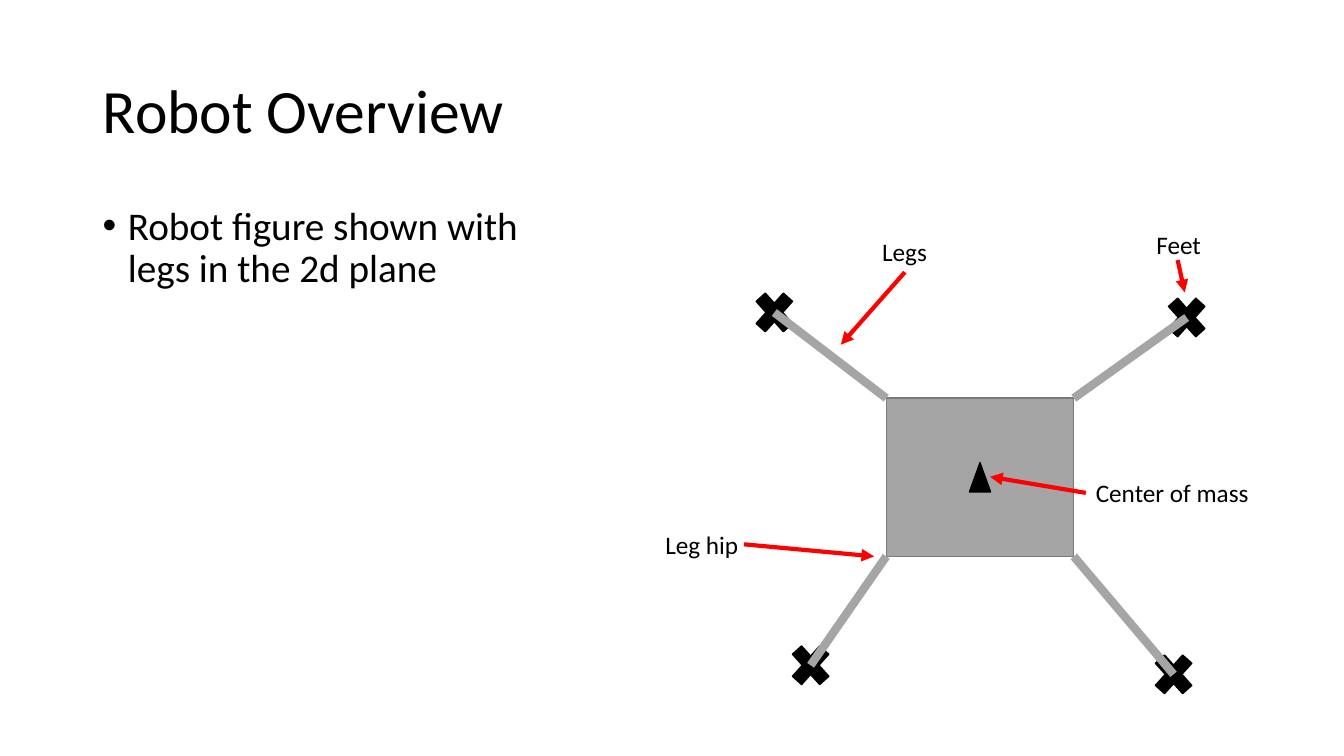
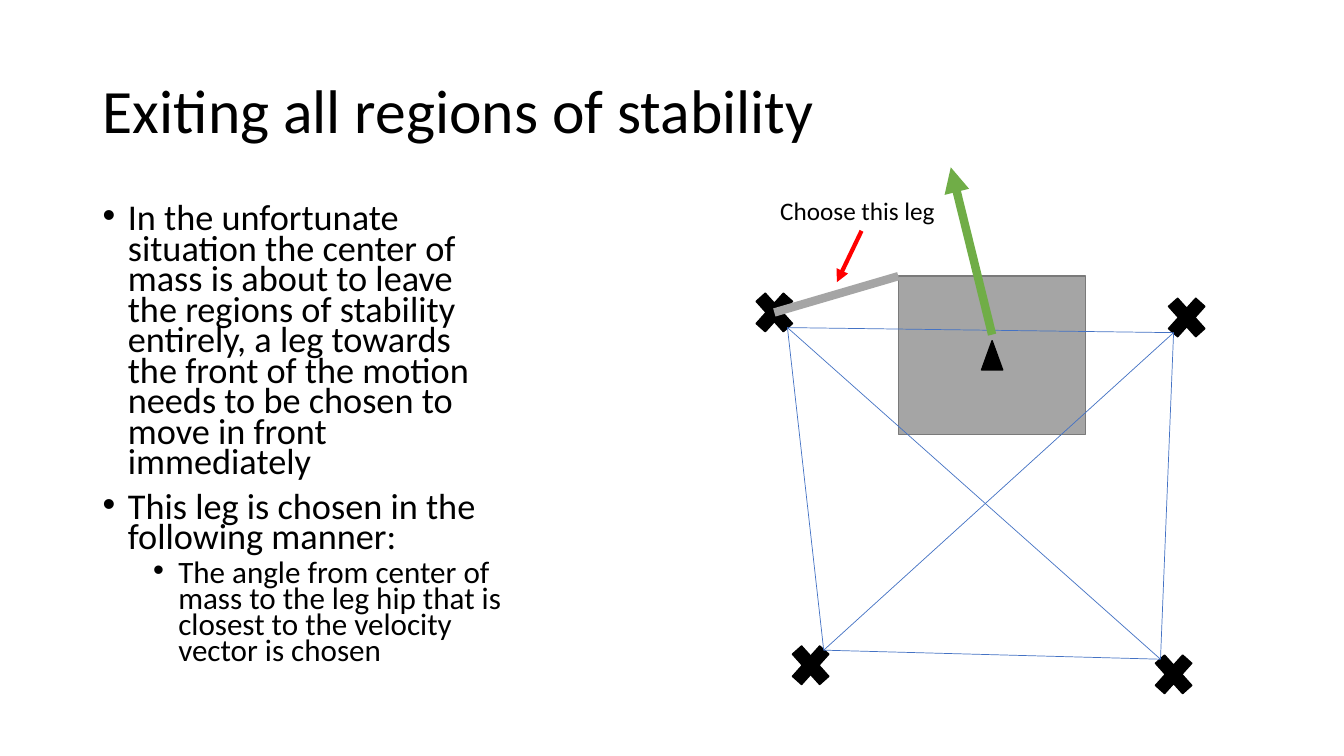
from dataclasses import dataclass
from itertools import combinations

from lxml.etree import SubElement
from pptx import Presentation
from pptx.dml.color import RGBColor
from pptx.enum.shapes import MSO_CONNECTOR, MSO_SHAPE
from pptx.enum.text import MSO_ANCHOR, MSO_AUTO_SIZE, PP_ALIGN
from pptx.oxml.ns import qn
from pptx.util import Pt

PX = 9144  # EMU per px, 100 px to the inch


@dataclass(frozen=True)
class Theme:
    font: str = "Calibri"
    ink: str = "000000"
    body: str = "A5A5A5"
    body_edge: str = "7A7A7A"
    pointer: str = "FF0000"
    velocity: str = "70AD47"
    stability: str = "4472C4"
    title_size: float = 44
    label_size: float = 18
    leg_width: float = 6
    pointer_width: float = 3
    stability_width: float = 0.5
    edge_width: float = 1


THEME = Theme()

# Shared geometry
SLIDE_SIZE = (1333, 750)
TITLE_BOX = (92, 40, 1150, 145)
BODY_SIZE = (186, 157)
MASS_SIZE = (21, 29)
FOOT_SIZE = (52, 58)
LABEL_HEIGHT = 40
BULLET_HANG = 25
LEVEL_INDENTS = (25, 75)
LEVEL_SPACE_BEFORE = (10, 5)

# Foot centres, and the hip of each leg as (right, bottom) corner of the body
FEET = {
    (0, 0): (768, 310),
    (1, 0): (1177, 315),
    (0, 1): (804, 660),
    (1, 1): (1164, 669),
}
FOOT_INSET = (13, 15)  # from a foot's centre to its inner notch

# Connection sites of a rectangle
LEFT, BOTTOM = 1, 2

# Bullets: (level, text); labels: (text, left, top, width, joined side, start, end)
SLIDES = [
    {
        "title": "Robot Overview",
        "bullets_box": (92, 200, 477, 476),
        "line_spacing": 0.9,
        "bullet_sizes": (28, 24),
        "bullets": [(0, "Robot figure shown with legs in the 2d plane")],
        "body": (879, 395),
        "legs": list(FEET),
        "stability": False,
        "velocity": None,
        "labels": [
            ("Legs", 865, 230, 65, BOTTOM, (897, 270), (834, 342)),
            ("Feet", 1137, 223, 65, None, (1168, 258), (1175, 290)),
            ("Center of mass", 1077, 469, 173, LEFT, (1077, 489), (982, 473)),
            ("Leg hip", 650, 520, 94, None, (738, 540), (867, 552)),
        ],
    },
    {
        "title": "Exiting all regions of stability",
        "bullets_box": (92, 200, 417, 476),
        "line_spacing": 0.7,
        "bullet_sizes": (25.9, 22.2),
        "bullets": [
            (0, "In the unfortunate situation the center of mass is about to leave "
                "the regions of stability entirely, a leg towards the front of the "
                "motion needs to be chosen to move in front immediately"),
            (0, "This leg is chosen in the following manner:"),
            (1, "The angle from center of mass to the leg hip that is closest to "
                "the velocity vector is chosen"),
        ],
        "body": (891, 274),
        "legs": [(0, 0)],
        "stability": True,
        "velocity": ((984, 332), (943, 166)),
        "labels": [
            ("Choose this leg", 764, 189, 181, BOTTOM, (854, 229), (830, 280)),
        ],
    },
]


def emu(*lengths):
    return [round(length * PX) for length in lengths]


def color(value):
    return RGBColor.from_string(value)


def add_span(para, text, size):
    span = para.add_run()
    span.text = text
    span.font.name = THEME.font
    span.font.size = Pt(size)
    span.font.color.rgb = color(THEME.ink)


def add_figure(page, kind, left, top, size, fill, edge):
    shape = page.shapes.add_shape(kind, *emu(left, top, *size))
    shape.shadow.inherit = False
    shape.fill.solid()
    shape.fill.fore_color.rgb = color(fill)
    shape.line.color.rgb = color(edge)
    shape.line.width = Pt(THEME.edge_width)


def add_line(page, start, end, line_color, width, arrow=False):
    line = page.shapes.add_connector(MSO_CONNECTOR.STRAIGHT, *emu(*start, *end))
    line.line.color.rgb = color(line_color)
    line.line.width = Pt(width)
    if arrow:
        SubElement(line.line._get_or_add_ln(), qn("a:tailEnd"), type="triangle")
    SubElement(line._element.spPr, qn("a:effectLst"))
    return line


def add_title(page, text):
    title = page.shapes.title
    title.left, title.top, title.width, title.height = emu(*TITLE_BOX)
    frame = title.text_frame
    frame.auto_size = MSO_AUTO_SIZE.NONE
    frame.vertical_anchor = MSO_ANCHOR.MIDDLE
    para = frame.paragraphs[0]
    para.alignment = PP_ALIGN.LEFT
    para.line_spacing = 0.9
    add_span(para, text, THEME.title_size)


def add_bullets(page, content):
    box = page.shapes.add_textbox(*emu(*content["bullets_box"]))
    frame = box.text_frame
    frame.word_wrap = True
    for index, (level, text) in enumerate(content["bullets"]):
        para = frame.add_paragraph() if index else frame.paragraphs[0]
        para.level = level
        para.line_spacing = content["line_spacing"]
        para.space_before = Pt(LEVEL_SPACE_BEFORE[level])
        props = para._p.get_or_add_pPr()
        props.set("marL", str(LEVEL_INDENTS[level] * PX))
        props.set("indent", str(-BULLET_HANG * PX))
        SubElement(props, qn("a:buFont"), typeface="Arial")
        SubElement(props, qn("a:buChar"), char="•")
        add_span(para, text, content["bullet_sizes"][level])


def add_label(page, text, left, top, width, side, start, end):
    box = page.shapes.add_textbox(*emu(left, top, width, LABEL_HEIGHT))
    box.text_frame.word_wrap = False
    box.text_frame.auto_size = MSO_AUTO_SIZE.SHAPE_TO_FIT_TEXT
    add_span(box.text_frame.paragraphs[0], text, THEME.label_size)
    pointer = add_line(page, start, end, THEME.pointer, THEME.pointer_width, arrow=True)
    if side is not None:
        pointer.begin_connect(box, side)


def add_robot(page, content):
    left, top = content["body"]
    width, height = BODY_SIZE
    add_figure(page, MSO_SHAPE.RECTANGLE, left, top, BODY_SIZE, THEME.body, THEME.body_edge)

    # Feet, and the center of mass in the middle of the body
    for x, y in FEET.values():
        add_figure(page, MSO_SHAPE.MATH_MULTIPLY, x - FOOT_SIZE[0] / 2,
                   y - FOOT_SIZE[1] / 2, FOOT_SIZE, THEME.ink, THEME.ink)
    add_figure(page, MSO_SHAPE.ISOSCELES_TRIANGLE, left + (width - MASS_SIZE[0]) / 2,
               top + (height - MASS_SIZE[1]) / 2, MASS_SIZE, THEME.ink, THEME.ink)

    # Regions of stability: every pair of feet joined at their inner notches
    if content["stability"]:
        notches = [(x + FOOT_INSET[0] * (1 - 2 * right), y + FOOT_INSET[1] * (1 - 2 * bottom))
                   for (right, bottom), (x, y) in FEET.items()]
        for start, end in combinations(notches, 2):
            add_line(page, start, end, THEME.stability, THEME.stability_width)
    if content["velocity"]:
        add_line(page, *content["velocity"], THEME.velocity, THEME.leg_width, arrow=True)

    # Legs run from a corner of the body to a foot
    for right, bottom in content["legs"]:
        hip = (left + width * right, top + height * bottom)
        add_line(page, hip, FEET[right, bottom], THEME.body, THEME.leg_width)


def main():
    deck = Presentation()
    deck.slide_width, deck.slide_height = emu(*SLIDE_SIZE)
    for content in SLIDES:
        page = deck.slides.add_slide(deck.slide_layouts[5])
        add_title(page, content["title"])
        add_bullets(page, content)
        add_robot(page, content)
        for label in content["labels"]:
            add_label(page, *label)
    deck.save("out.pptx")


if __name__ == "__main__":
    main()
